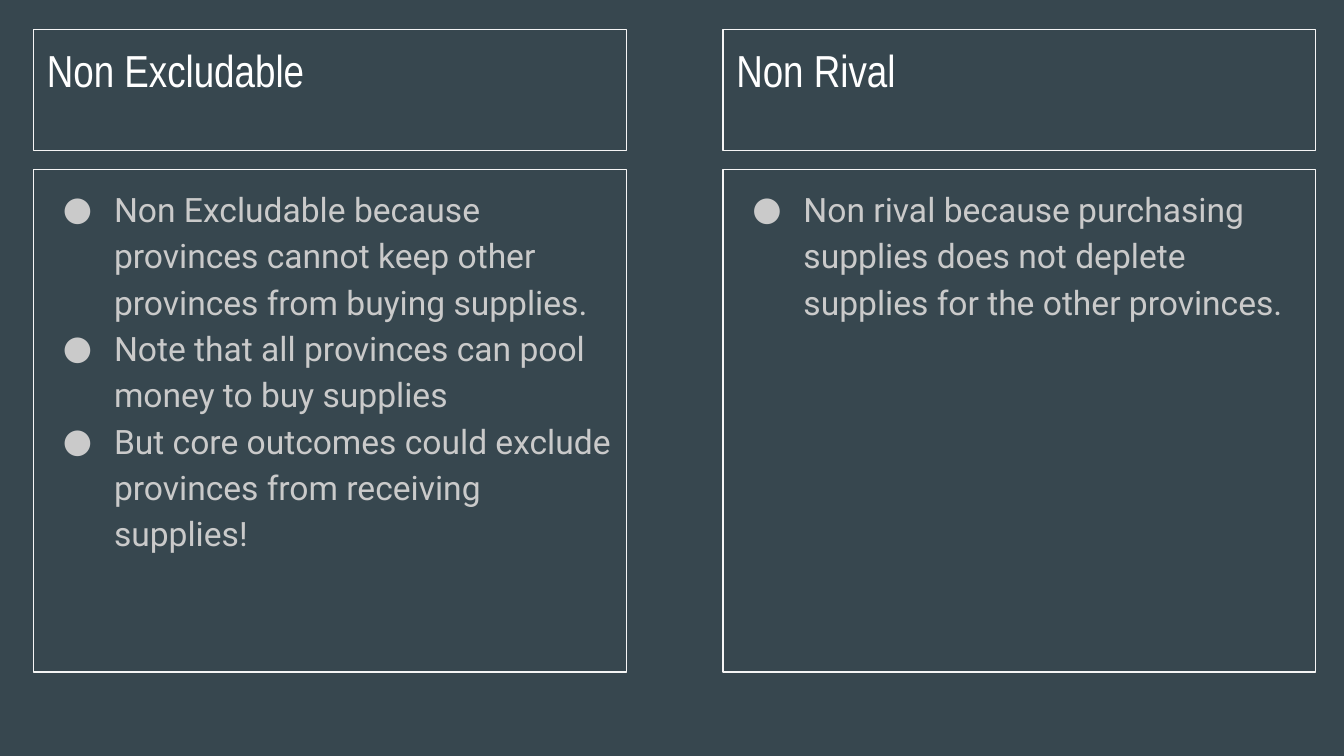
import pptx
import pptx.dml.color
import pptx.enum.text
import pptx.oxml.ns
import pptx.util
from lxml import etree

Inches = pptx.util.Inches
Pt = pptx.util.Pt
RGBColor = pptx.dml.color.RGBColor

# Content: one column per property of the good
COLUMNS = [
    ("Non Excludable", [
        "Non Excludable because provinces cannot keep other provinces from buying supplies.",
        "Note that all provinces can pool money to buy supplies",
        "But core outcomes could exclude provinces from receiving supplies!",
    ]),
    ("Non Rival", [
        "Non rival because purchasing supplies does not deplete supplies for the other provinces.",
    ]),
]

# Colours and layout
BACKGROUND = RGBColor(0x37, 0x47, 0x4F)
BORDER = RGBColor(0xF5, 0xF5, 0xF5)
TITLE_COLOR = RGBColor(0xFF, 0xFF, 0xFF)
BODY_COLOR = RGBColor(0xCA, 0xCA, 0xCA)
LEFT, COLUMN_STEP, COLUMN_WIDTH = 0.25, 5.13, 4.41
TITLE_TOP, TITLE_HEIGHT = 0.22, 0.9
BODY_TOP, BODY_HEIGHT = 1.26, 3.74


def add_bullet(paragraph, font, color):
    properties = paragraph._p.get_or_add_pPr()
    properties.set("marL", str(Inches(0.5)))
    properties.set("indent", str(Inches(-0.38)))
    bullet_color = etree.SubElement(properties, pptx.oxml.ns.qn("a:buClr"))
    etree.SubElement(bullet_color, pptx.oxml.ns.qn("a:srgbClr"), val=str(color))
    etree.SubElement(properties, pptx.oxml.ns.qn("a:buFont"), typeface=font)
    etree.SubElement(properties, pptx.oxml.ns.qn("a:buChar"), char="●")


def add_text_box(slide, texts, left, top, height, *, font, size, color,
                 line_spacing=None, bullets=False):
    shape = slide.shapes.add_textbox(
        Inches(left), Inches(top), Inches(COLUMN_WIDTH), Inches(height))
    shape.line.color.rgb = BORDER
    shape.line.width = Pt(0.75)
    frame = shape.text_frame
    frame.word_wrap = True
    frame.vertical_anchor = pptx.enum.text.MSO_ANCHOR.TOP
    frame.margin_left = frame.margin_right = Inches(0.1)
    frame.margin_top = frame.margin_bottom = Inches(0.1)
    for index, text in enumerate(texts):
        paragraph = frame.add_paragraph() if index else frame.paragraphs[0]
        if line_spacing:
            paragraph.line_spacing = line_spacing
        if bullets:
            add_bullet(paragraph, font, color)
        run = paragraph.add_run()
        run.text = text
        run.font.name = font
        run.font.size = Pt(size)
        run.font.color.rgb = color


def main():
    # Widescreen slide, 16:9
    presentation = pptx.Presentation()
    presentation.slide_width = Inches(10)
    presentation.slide_height = Inches(10 * 9 / 16)
    slide = presentation.slides.add_slide(presentation.slide_layouts[6])
    slide.background.fill.solid()
    slide.background.fill.fore_color.rgb = BACKGROUND

    # Each column has a title box above a bulleted box
    for index, (title, points) in enumerate(COLUMNS):
        left = LEFT + index * COLUMN_STEP
        add_text_box(slide, [title], left, TITLE_TOP, TITLE_HEIGHT,
                     font="Arial Narrow", size=24, color=TITLE_COLOR)
        add_text_box(slide, points, left, BODY_TOP, BODY_HEIGHT,
                     font="Roboto", size=18, color=BODY_COLOR,
                     line_spacing=1.15, bullets=True)

    presentation.save("out.pptx")


if __name__ == "__main__":
    main()
